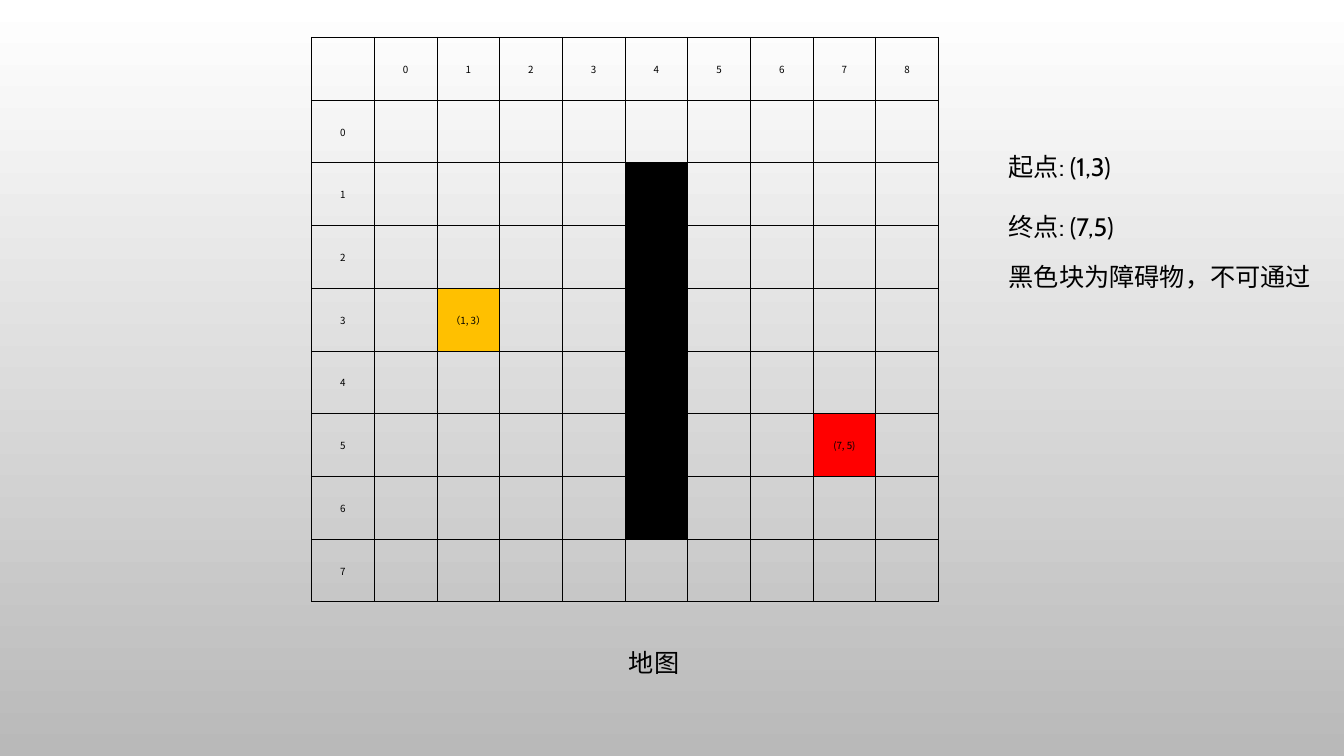
"""Build a slide with a grid map, its start, goal and obstacle, and a legend."""
import pptx
import pptx.dml.color
import pptx.enum.text
import pptx.oxml
import pptx.oxml.ns
import pptx.util
from pptx.util import Cm, Pt

RGBColor = pptx.dml.color.RGBColor
BLACK = RGBColor(0x00, 0x00, 0x00)
WHITE = RGBColor(0xFF, 0xFF, 0xFF)
GRAY = RGBColor(0xB9, 0xB9, 0xB9)
AMBER = RGBColor(0xFF, 0xC0, 0x00)
RED = RGBColor(0xFF, 0x00, 0x00)

MAP_COLUMNS, MAP_ROWS = 9, 8
MARKS = {(1, 3): ("（1, 3）", AMBER), (7, 5): ("(7, 5)", RED)}
OBSTACLES = [(4, y) for y in range(1, 7)]
LABELS = [
    ("地图", 15.6, 16.18, 1.8),
    ("起点: (1,3)", 25.17, 3.68, 3.3),
    ("终点: (7,5)", 25.17, 5.21, 3.3),
    ("黑色块为障碍物，不可通过", 25.17, 6.45, 8.2),
]
MAP_LEFT, MAP_TOP, CELL_SIZE = Cm(7.85), Cm(0.94), Cm(1.58)
LABEL_HEIGHT = Cm(1.02)


def set_border(cell, side, visible):
    """Give one side of a cell a thin black line or no line."""
    fill = f'<a:solidFill><a:srgbClr val="{BLACK}"/></a:solidFill>' if visible else "<a:noFill/>"
    line = pptx.oxml.parse_xml(
        f'<a:ln{side} {pptx.oxml.ns.nsdecls("a")} w="{Pt(0.5)}">{fill}</a:ln{side}>'
    )
    cell._tc.get_or_add_tcPr().append(line)


def cell_content(x, y):
    """Return the text and fill of the cell at map coordinates x, y."""
    if (x, y) in MARKS:
        return MARKS[x, y]
    if (x, y) in OBSTACLES:
        return "", BLACK
    if y == -1 and 0 <= x < MAP_COLUMNS:
        return str(x), None
    if x == -1 and 0 <= y < MAP_ROWS:
        return str(y), None
    return "", None


def format_cell(cell, x, y):
    """Fill, frame and label one cell; the last row and column stay open."""
    in_columns, in_rows = x < MAP_COLUMNS, y < MAP_ROWS
    inside = in_columns and in_rows
    for side, visible in (("L", in_rows), ("R", inside), ("T", in_columns), ("B", inside)):
        set_border(cell, side, visible)
    text, color = cell_content(x, y)
    if color is None:
        cell.fill.background()
    else:
        cell.fill.solid()
        cell.fill.fore_color.rgb = color
    cell.margin_left = cell.margin_right = cell.margin_top = Cm(0.03)
    cell.margin_bottom = 0
    cell.vertical_anchor = pptx.enum.text.MSO_ANCHOR.MIDDLE
    cell.text = text
    para = cell.text_frame.paragraphs[0]
    para.alignment = pptx.enum.text.PP_ALIGN.CENTER
    format_font(para.font, "Noto Sans CJK SC", 7)


def format_font(font, name, size):
    """Set a black font of the given name and size."""
    font.name, font.size = name, Pt(size)
    font.color.rgb = BLACK


def add_map(page):
    """Add the table that holds the map and its axes."""
    rows, columns = MAP_ROWS + 2, MAP_COLUMNS + 2
    table = page.shapes.add_table(
        rows, columns, MAP_LEFT, MAP_TOP, CELL_SIZE * columns, CELL_SIZE * rows
    ).table
    table.first_row = table.horz_banding = False
    for column in table.columns:
        column.width = CELL_SIZE
    for row_index, row in enumerate(table.rows):
        row.height = CELL_SIZE
        for column_index, cell in enumerate(row.cells):
            format_cell(cell, column_index - 1, row_index - 1)


def add_label(page, text, left, top, width):
    """Add one line of text beside or below the map."""
    box = page.shapes.add_textbox(Cm(left), Cm(top), Cm(width), LABEL_HEIGHT)
    frame = box.text_frame
    frame.word_wrap = False
    frame.auto_size = pptx.enum.text.MSO_AUTO_SIZE.SHAPE_TO_FIT_TEXT
    frame.text = text
    format_font(frame.paragraphs[0].font, "Cabin", 18)


def main():
    """Build and save the deck."""
    deck = pptx.Presentation()
    deck.slide_width, deck.slide_height = Cm(33.87), Cm(19.05)
    page = deck.slides.add_slide(deck.slide_layouts[6])
    backdrop = page.background.fill
    backdrop.gradient()
    backdrop.gradient_angle = 270
    for stop, position, color in zip(backdrop.gradient_stops, (0, 1), (WHITE, GRAY)):
        stop.position = position
        stop.color.rgb = color
    add_map(page)
    for label in LABELS:
        add_label(page, *label)
    deck.save("out.pptx")


if __name__ == "__main__":
    main()
